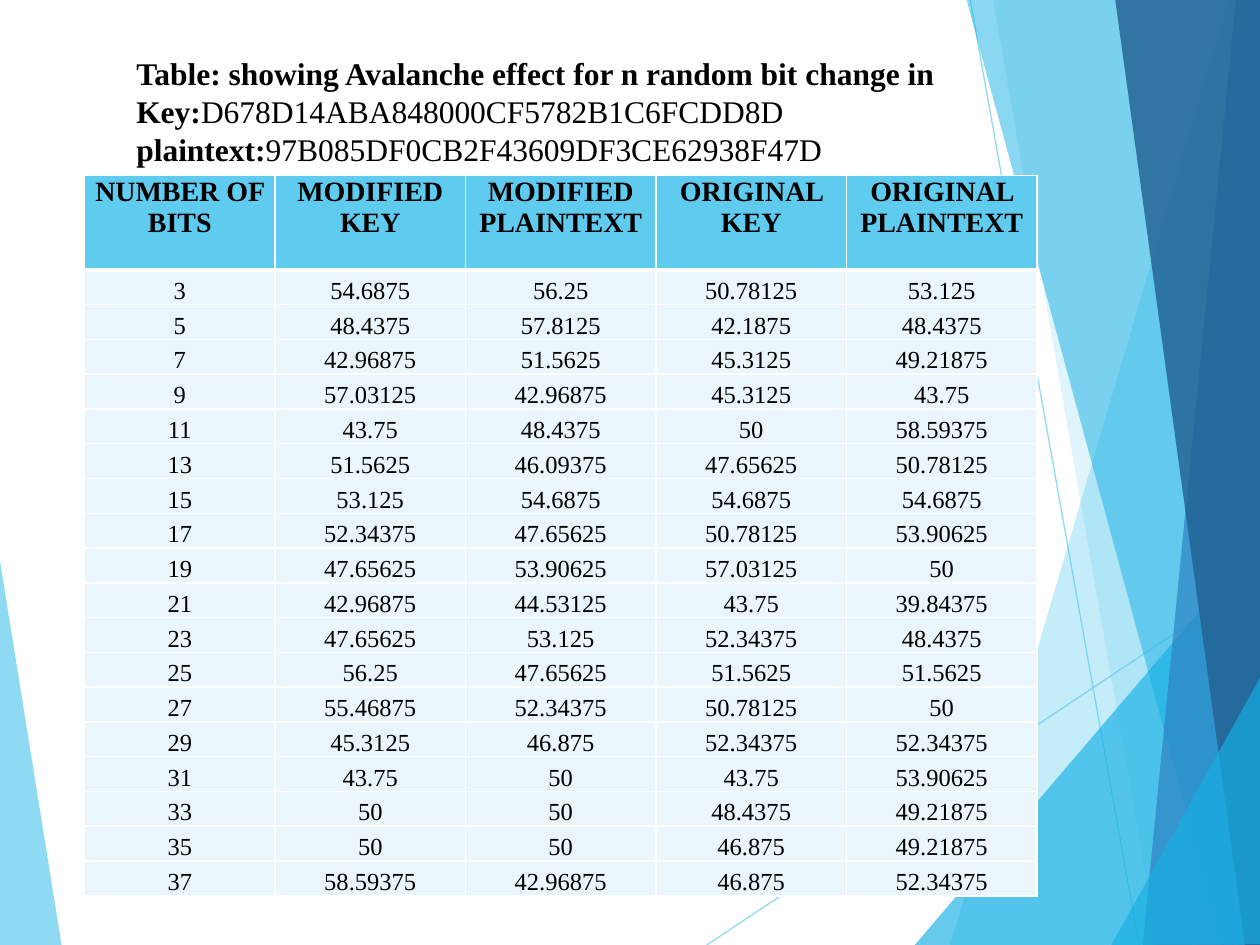
from lxml.etree import SubElement
from pptx import Presentation
from pptx.dml.color import RGBColor
from pptx.enum.shapes import MSO_CONNECTOR
from pptx.enum.text import MSO_ANCHOR as Anchor, PP_ALIGN as Align
from pptx.oxml.ns import qn
from pptx.util import Pt

FONT = "Times New Roman"
SKY, AZURE, BLUE, NAVY = "5FCBEF", "17B0E4", "2E83C3", "226292"
WHITE, BLACK, PALE = "FFFFFF", "000000", "EAF6FC"

LEFT_FACET = (SKY, 70, [(-0.7, 316), (35.3, 540.5), (-0.7, 540)])
RIGHT_FACETS = [
    (SKY, 36, [(702, 0), (543, 540), (721.2, 540.5), (720.7, 0.5)]),
    (SKY, 20, [(567.4, -0.7), (661.7, 540), (720.7, 540), (720.7, -0.7)]),
    (AZURE, 66, [(522.7, 540), (720, 308.9), (720.7, 540)]),
    (AZURE, 50, [(552.2, -0.7), (698.4, 540), (720.7, 539.5), (720.7, -0.7)]),
    (BLUE, 70, [(706.3, -0.7), (653, 540), (720.7, 540), (720, -0.7)]),
    (NAVY, 82, [(637.2, -0.7), (711.4, 540), (721.2, 540), (720, -0.7)]),
    (AZURE, 66, [(635, 540), (721.2, 385.2), (721.2, 539.5)]),
]
RAYS = [((403.9, 540), (720.7, 329)), ((554.4, 0), (650.9, 540))]

HEADINGS = ["NUMBER OF BITS", "MODIFIED KEY", "MODIFIED PLAINTEXT",
            "ORIGINAL KEY", "ORIGINAL PLAINTEXT"]
RESULTS = """3 54.6875 56.25 50.78125 53.125
5 48.4375 57.8125 42.1875 48.4375
7 42.96875 51.5625 45.3125 49.21875
9 57.03125 42.96875 45.3125 43.75
11 43.75 48.4375 50 58.59375
13 51.5625 46.09375 47.65625 50.78125
15 53.125 54.6875 54.6875 54.6875
17 52.34375 47.65625 50.78125 53.90625
19 47.65625 53.90625 57.03125 50
21 42.96875 44.53125 43.75 39.84375
23 47.65625 53.125 52.34375 48.4375
25 56.25 47.65625 51.5625 51.5625
27 55.46875 52.34375 50.78125 50
29 45.3125 46.875 52.34375 52.34375
31 43.75 50 43.75 53.90625
33 50 50 48.4375 49.21875
35 50 50 46.875 49.21875
37 58.59375 42.96875 46.875 52.34375"""

TITLE = [
    [("Table: showing Avalanche effect for n random bit change in", True)],
    [("Key:", True), ("D678D14ABA848000CF5782B1C6FCDD8D ", False),
     ("plaintext:", True), ("97B085DF0CB2F43609DF3CE62938F47D", False)],
]


def paint(fill, color, opacity=100):
    """Make a fill solid, with an opacity in percent."""
    fill.solid()
    fill.fore_color.rgb = RGBColor.from_string(color)
    if opacity < 100:
        for node in fill._xPr.iter(qn("a:srgbClr")):
            SubElement(node, qn("a:alpha"), val=str(opacity * 1000))


def add_run(paragraph, text, size, bold):
    """Add one black run."""
    run = paragraph.add_run()
    run.text = text
    run.font.name, run.font.size, run.font.bold = FONT, Pt(size), bold
    run.font.color.rgb = RGBColor.from_string(BLACK)


def add_facet(slide, left, top, color, opacity, points):
    """Draw a translucent polygon, its points relative to left and top."""
    start, *rest = [(Pt(left + x), Pt(top + y)) for x, y in points]
    builder = slide.shapes.build_freeform(*start)
    builder.add_line_segments(rest, close=True)
    shape = builder.convert_to_shape()
    shape.shadow.inherit = False
    shape.line.fill.background()
    paint(shape.fill, color, opacity)


def add_ray(slide, left, top, start, end):
    """Draw a thin translucent line, its ends relative to left and top."""
    ends = [Pt(value + shift) for point in (start, end)
            for value, shift in zip(point, (left, top))]
    ray = slide.shapes.add_connector(MSO_CONNECTOR.STRAIGHT, *ends)
    ray.line.width = Pt(0.75)
    paint(ray.line.fill, SKY, 70)
    SubElement(ray._element.spPr, qn("a:effectLst"))


def add_backdrop(slide, left, top):
    """Draw the facets and rays along both sides."""
    add_facet(slide, left, top, *LEFT_FACET)
    for start, end in RAYS:
        add_ray(slide, left, top, start, end)
    for facet in RIGHT_FACETS:
        add_facet(slide, left, top, *facet)


def set_borders(cell, **widths):
    """Give a cell white borders, ahead of its fill."""
    properties = cell._tc.get_or_add_tcPr()
    for index, (side, width) in enumerate(widths.items()):
        border = SubElement(properties, qn(f"a:{side}"), w=str(Pt(width)))
        solid = SubElement(border, qn("a:solidFill"))
        SubElement(solid, qn("a:srgbClr"), val=WHITE)
        properties.insert(index, border)


def fill_cell(cell, text, heading, below_heading):
    """Write and style one table cell."""
    cell.margin_left = cell.margin_right = cell.margin_top = Pt(0.6)
    cell.margin_bottom = Pt(0)
    cell.vertical_anchor = Anchor.TOP if heading else Anchor.BOTTOM
    paragraph = cell.text_frame.paragraphs[0]
    paragraph.alignment = Align.CENTER
    add_run(paragraph, text, 16 if heading else 14, heading)
    paint(cell.fill, SKY if heading else PALE)
    set_borders(cell, lnL=1, lnR=1, lnT=3 if below_heading else 1,
                lnB=3 if heading else 1)


def add_results(slide, left, top, width, height, heading_height=54):
    """Place the table of results."""
    rows = [HEADINGS] + [line.split() for line in RESULTS.splitlines()]
    frame = slide.shapes.add_table(len(rows), len(HEADINGS), Pt(left), Pt(top),
                                   Pt(width), Pt(height))
    row_height = (height - heading_height) / (len(rows) - 1)
    for index, values in enumerate(rows):
        frame.table.rows[index].height = Pt(row_height if index else heading_height)
        for column, text in enumerate(values):
            fill_cell(frame.table.cell(index, column), text, index == 0, index == 1)


def add_title(slide, left, top, width, height):
    """Place the title with the key and the plaintext."""
    frame = slide.shapes.add_textbox(Pt(left), Pt(top), Pt(width), Pt(height)).text_frame
    frame.word_wrap = True
    for index, runs in enumerate(TITLE):
        paragraph = frame.add_paragraph() if index else frame.paragraphs[0]
        for text, bold in runs:
            add_run(paragraph, text, 18, bold)


def main():
    """Build and save the slide."""
    presentation = Presentation()
    presentation.slide_width, presentation.slide_height = Pt(720), Pt(540)
    slide = presentation.slides.add_slide(presentation.slide_layouts[6])
    paint(slide.background.fill, WHITE)
    add_backdrop(slide, 0, 0)
    add_results(slide, 48.3, 100.2, 544.3, 412)
    add_title(slide, 70.8, 27.4, 532.8, 72.7)
    presentation.save("out.pptx")


if __name__ == "__main__":
    main()
